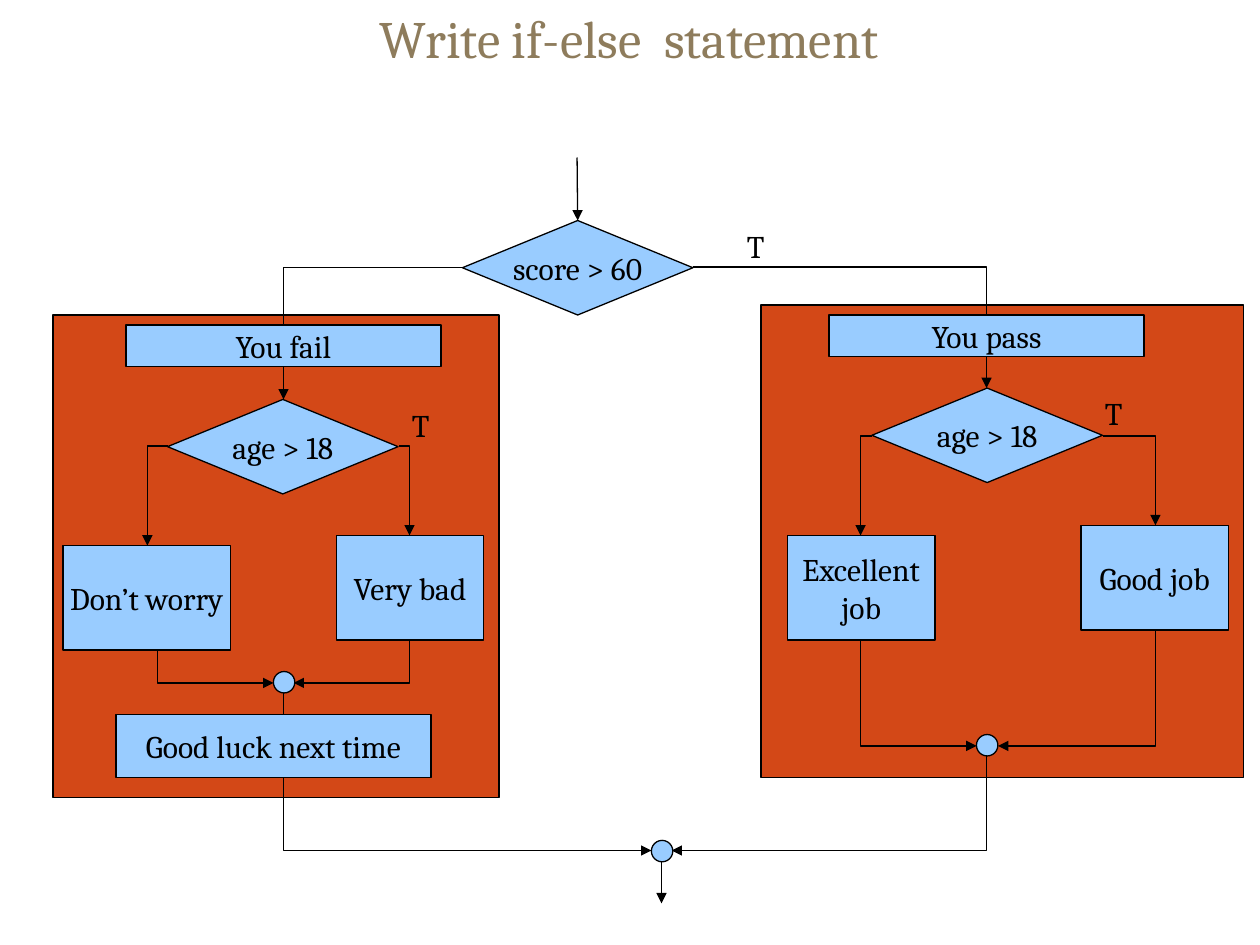
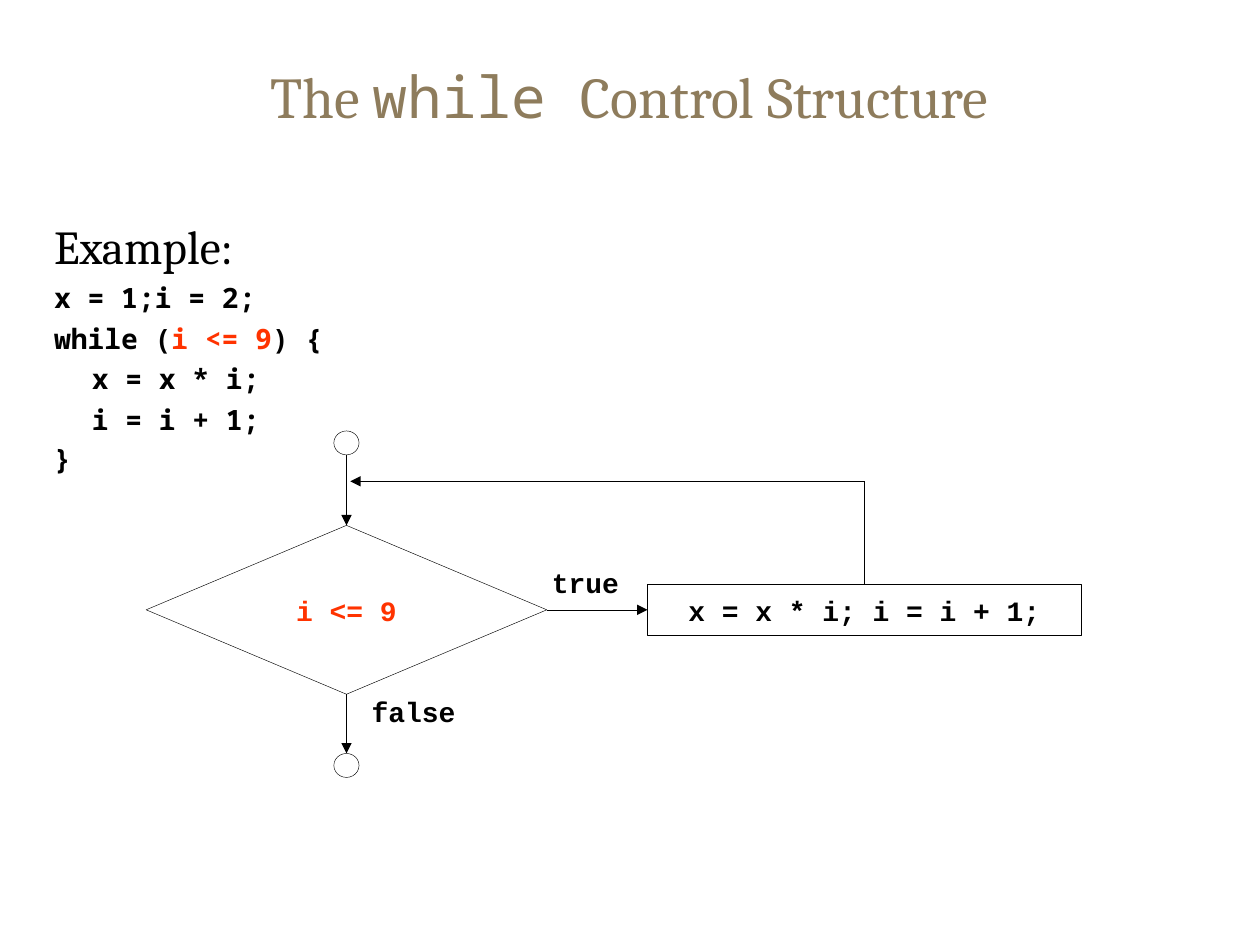
"""Build two slides of flowcharts: nested if-else and the while loop."""
from pptx import Presentation
from pptx.dml.color import RGBColor
from pptx.enum.shapes import MSO_CONNECTOR as LINK, MSO_SHAPE as SHAPE
from pptx.enum.text import MSO_ANCHOR as ANCHOR, MSO_AUTO_SIZE as AUTO, PP_ALIGN as ALIGN
from pptx.oxml.ns import qn
from pptx.util import Inches, Pt
from lxml.etree import SubElement

rgb = RGBColor.from_string
BLACK, WHITE, TAUPE = "000000", "FFFFFF", "8E7C5C"
BLUE, ORANGE, RED = "99CCFF", "D34817", "FF3300"
SERIF, CODE, COURIER = "Cambria", "Noto Sans Mono", "Courier New"
TURNS = {(True, True): {}, (True, False): {"rot": "10800000", "flipV": "1"},
         (False, True): {"rot": "16200000", "flipH": "1"}, (False, False): {"rot": "5400000"}}


def add_node(slide, kind, box, text="", fill=BLUE, weight=0.75, font=SERIF, size=18,
             ink=BLACK, bold=False):
    node = slide.shapes.add_shape(kind, *map(Inches, box))
    node.shadow.inherit = False
    if fill:
        node.fill.solid()
        node.fill.fore_color.rgb = rgb(fill)
    else:
        node.fill.background()
    node.line.color.rgb = rgb(BLACK)
    node.line.width = Pt(weight)
    if text:
        frame = node.text_frame
        frame.text = text
        frame.word_wrap = False
        frame.vertical_anchor = ANCHOR.MIDDLE
        for paragraph in frame.paragraphs:
            paragraph.alignment = ALIGN.CENTER
            paragraph.font.name, paragraph.font.size = font, Pt(size)
            paragraph.font.bold = bold
            paragraph.font.color.rgb = rgb(ink)
    return node


def add_link(slide, x1, y1, x2, y2, bend=None, weight=0.75, arrow=True):
    if bend:
        across, width, height = bend == "across", abs(x2 - x1), abs(y2 - y1)
        if not across:
            width, height = height, width
        left, top = (x1 + x2 - width) / 2, (y1 + y2 - height) / 2
        link = slide.shapes.add_connector(
            LINK.ELBOW, *map(Inches, (left, top, left + width, top + height)))
        properties = link._element.spPr
        properties.find(qn("a:prstGeom")).set("prst", "bentConnector2")
        properties.find(qn("a:xfrm")).attrib.update(TURNS[across, x2 > x1])
    else:
        link = slide.shapes.add_connector(LINK.STRAIGHT, *map(Inches, (x1, y1, x2, y2)))
    link.line.color.rgb = rgb(BLACK)
    link.line.width = Pt(weight)
    if arrow:
        SubElement(link.line._get_or_add_ln(), qn("a:tailEnd"), type="triangle")
    SubElement(link._element.spPr, qn("a:effectLst"))
    return link


prs = Presentation()
prs.slide_width, prs.slide_height = Inches(10), Inches(7.5)
if_else = prs.slides.add_slide(prs.slide_layouts[5])
while_loop = prs.slides.add_slide(prs.slide_layouts[1])

for slide, runs, size, bottom_inset in [
    (if_else, [("Write if-else  statement", None)], 30, 0.53),
    (while_loop, [("The ", None), ("while ", CODE), ("Control Structure", None)], 33, 0.05),
]:
    title = slide.shapes.title
    title.left, title.top, title.width, title.height = map(Inches, (0.33, 0.25, 9.33, 0.83))
    frame = title.text_frame
    frame.auto_size, frame.vertical_anchor = AUTO.NONE, ANCHOR.BOTTOM
    frame.margin_bottom = Inches(bottom_inset)
    heading = frame.paragraphs[0]
    heading.alignment = ALIGN.CENTER
    heading.font.name, heading.font.size = SERIF, Pt(size)
    heading.font.color.rgb = rgb(TAUPE)
    for text, font in runs:
        run = heading.add_run()
        run.text = text
        if font:
            run.font.name = font

for branch in [(6.04, 2.42, 3.83, 3.75), (0.42, 2.5, 3.54, 3.83)]:
    add_node(if_else, SHAPE.RECTANGLE, branch, fill=ORANGE)

for route in [
    (5.5, 2.12, 7.83, 3.08, "across"),
    (8.75, 3.46, 9.17, 4.17, "across"),
    (6.92, 3.46, 6.83, 4.25, "across"),
    (3.67, 2.12, 2.25, 3.17, "across"),
    (3.17, 3.54, 3.25, 4.25, "across"),
    (1.33, 3.54, 1.17, 4.33, "across"),
    (6.83, 5.08, 7.75, 5.92, "down"),
    (9.17, 5, 7.92, 5.92, "down"),
    (7.83, 6, 5.33, 6.75, "down"),
    (1.25, 5.17, 2.17, 5.42, "down"),
    (3.25, 5.08, 2.33, 5.42, "down"),
    (2.25, 5.5, 5.17, 6.75, "down"),
    (5.25, 6.83, 5.25, 7.17),
]:
    add_link(if_else, *route)

for left, top, text in [(6.92, 3.08, "age > 18"), (1.33, 3.17, "age > 18"),
                        (3.67, 1.75, "score > 60")]:
    decision = add_node(if_else, SHAPE.FLOWCHART_DECISION, (left, top, 1.83, 0.75), text)
entry = add_link(if_else, 4.58, 1.25, 4.58, 1.75)
entry.end_connect(decision, 0)

for left, top, width, height, text in [
    (8.58, 4.17, 1.17, 0.83, "Good job"),
    (6.25, 4.25, 1.17, 0.83, "Excellent\njob"),
    (2.67, 4.25, 1.17, 0.83, "Very bad"),
    (0.5, 4.33, 1.33, 0.83, "Don’t worry"),
    (0.92, 5.67, 2.5, 0.5, "Good luck next time"),
    (6.58, 2.5, 2.5, 0.33, "You pass"),
    (1, 2.58, 2.5, 0.33, "You fail"),
]:
    add_node(if_else, SHAPE.FLOWCHART_PROCESS, (left, top, width, height), text)

for left, top in [(7.75, 5.83), (5.17, 6.67), (2.17, 5.33)]:
    add_node(if_else, SHAPE.OVAL, (left, top, 0.17, 0.17))

example = while_loop.placeholders[1]
example.left, example.top, example.width, example.height = map(Inches, (0.33, 1.67, 9.3, 5))
example.text_frame.auto_size = AUTO.NONE
for row, (runs, indented, space, font, size) in enumerate([
    ([("Example:", BLACK)], False, 0, SERIF, 27),
    ([("x = 1;\ti = 2;", BLACK)], False, 4, CODE, 16),
    ([("while (", BLACK), ("i <= 9", RED), (") {", BLACK)], False, 4, CODE, 16),
    ([("x = x * i;", BLACK)], True, 4, CODE, 16),
    ([("i = i + 1;", BLACK)], True, 4, CODE, 16),
    ([("}", BLACK)], False, 3, CODE, 16),
]):
    frame = example.text_frame
    line = frame.paragraphs[0] if row == 0 else frame.add_paragraph()
    layout = line._p.get_or_add_pPr()
    layout.set("marL", str(Inches(0.3)))
    layout.set("indent", str(0 if indented else Inches(-0.3)))
    SubElement(layout, qn("a:buNone"))
    SubElement(SubElement(layout, qn("a:tabLst")), qn("a:tab"), pos=str(Inches(1)), algn="l")
    line.space_before = Pt(space)
    line.font.name, line.font.size, line.font.bold = font, Pt(size), font == CODE
    line.font.color.rgb = rgb(BLACK)
    for text, ink in runs:
        run = line.add_run()
        run.text = text
        if ink != BLACK:
            run.font.color.rgb = rgb(ink)

code_style = dict(weight=0.25, font=COURIER, size=16, bold=True)
condition = add_node(while_loop, SHAPE.FLOWCHART_DECISION, (1.16, 4.17, 3.18, 1.34),
                     "i <= 9", fill=WHITE, ink=RED, **code_style)
loop_step = add_node(while_loop, SHAPE.RECTANGLE, (5.14, 4.64, 3.44, 0.4),
                     "x = x * i; i = i + 1;", fill=None, **code_style)
start, finish = [add_node(while_loop, SHAPE.OVAL, (2.65, top, 0.2, 0.19), fill=None, weight=0.25)
                 for top in (3.42, 5.98)]

enter = add_link(while_loop, 2.75, 3.61, 2.75, 4.17, weight=0.25)
enter.end_connect(condition, 0)
leave = add_link(while_loop, 2.75, 5.51, 2.75, 5.98, weight=0.25)
leave.begin_connect(condition, 2)
leave.end_connect(finish, 0)
repeat = add_link(while_loop, 4.34, 4.84, 5.14, 4.84, weight=0.25)
repeat.begin_connect(condition, 3)
repeat.end_connect(loop_step, 1)
rise = add_link(while_loop, 6.86, 4.64, 6.86, 3.82, weight=0.25, arrow=False)
rise.begin_connect(loop_step, 0)
add_link(while_loop, 6.86, 3.82, 2.78, 3.82, weight=0.25)

for slide, text, box, insets, font, size in [
    (if_else, "T", (5.83, 1.75, 0.92, 0.4), (0.1, 0.05), SERIF, 18),
    (if_else, "T", (8.67, 3.08, 0.92, 0.4), (0.1, 0.05), SERIF, 18),
    (if_else, "T", (3.17, 3.17, 0.5, 0.4), (0.1, 0.05), SERIF, 18),
    (while_loop, "true", (4.38, 4.49, 0.7, 0.37), (0, 0), COURIER, 16),
    (while_loop, "false", (2.95, 5.51, 0.86, 0.37), (0, 0), COURIER, 16),
]:
    frame = slide.shapes.add_textbox(*map(Inches, box)).text_frame
    frame.word_wrap = True
    frame.margin_left = frame.margin_right = Inches(insets[0])
    frame.margin_top = frame.margin_bottom = Inches(insets[1])
    outcome = frame.paragraphs[0]
    outcome.text = text
    outcome.font.name, outcome.font.size = font, Pt(size)
    outcome.font.bold = font == COURIER
    outcome.font.color.rgb = rgb(BLACK)

prs.save("out.pptx")
